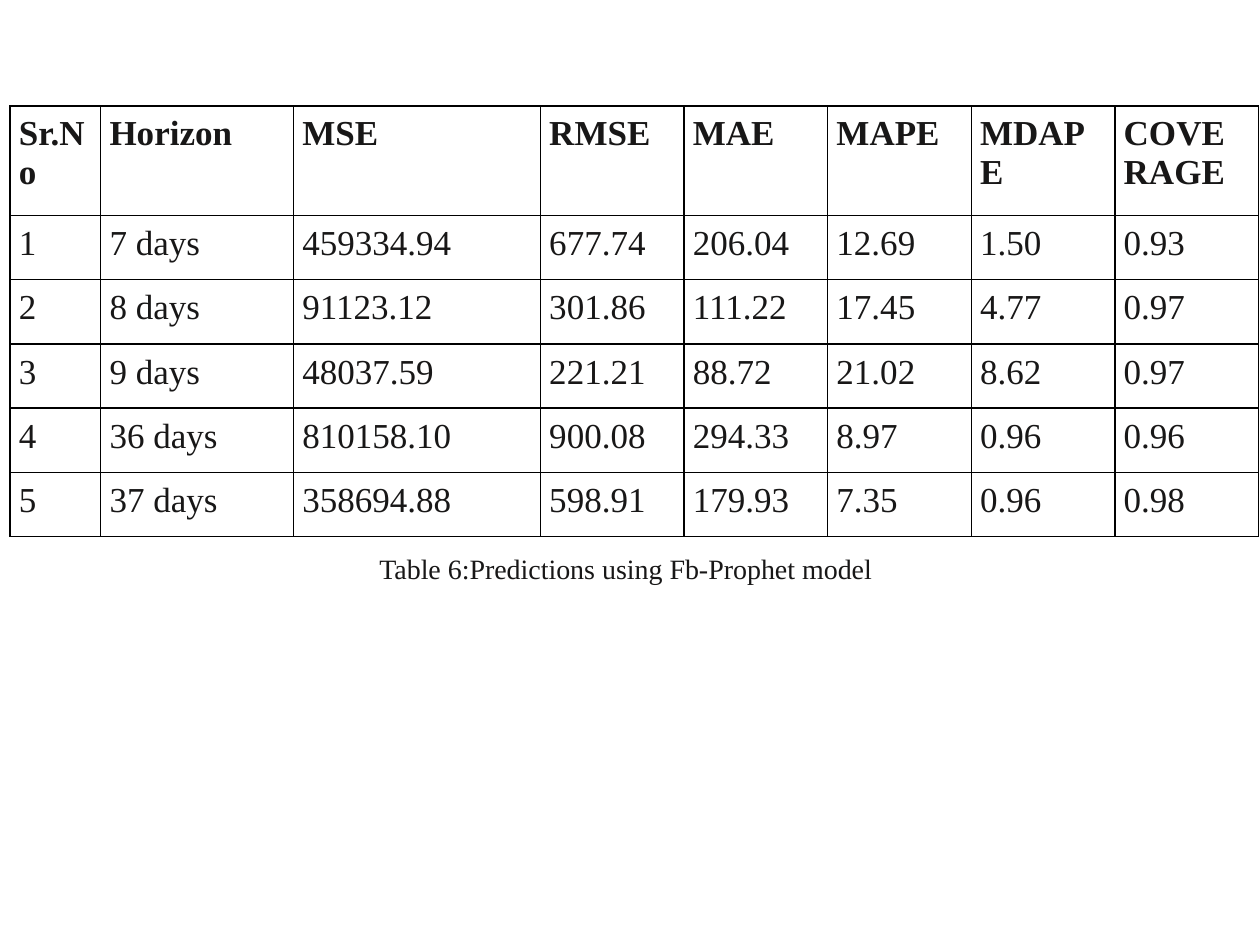
"""Build a slide with a table of forecast errors by horizon and its caption."""
from dataclasses import dataclass
from typing import NamedTuple

from lxml.etree import SubElement
from pptx import Presentation
from pptx.dml.color import RGBColor
from pptx.enum.text import PP_ALIGN
from pptx.oxml.ns import qn
from pptx.util import Inches, Pt


@dataclass(frozen=True)
class Theme:
    """Colours, font and type sizes of the slide."""
    ink: str = "181717"
    rule: str = "000000"
    font: str = "Times New Roman"
    table_size: int = 20
    caption_size: int = 16
    rule_width: int = 1


class Forecast(NamedTuple):
    """Errors of the model at one horizon."""
    horizon: str
    mse: str
    rmse: str
    mae: str
    mape: str
    mdape: str
    coverage: str


THEME = Theme()
SLIDE_WIDTH, SLIDE_HEIGHT = 10, 7.5
TABLE_LEFT, TABLE_TOP = 0.08, 0.84
HEADER_HEIGHT, ROW_HEIGHT = 0.87, 0.51
CELL_MARGIN = 0.07
COLUMN_WIDTHS = [0.72, 1.53, 1.96] + [1.14] * 5
HEADINGS = ["Sr.No", "Horizon", "MSE", "RMSE", "MAE", "MAPE", "MDAPE", "COVERAGE"]
FORECASTS = [
    Forecast("7 days", "459334.94", "677.74", "206.04", "12.69", "1.50", "0.93"),
    Forecast("8 days", "91123.12", "301.86", "111.22", "17.45", "4.77", "0.97"),
    Forecast("9 days", "48037.59", "221.21", "88.72", "21.02", "8.62", "0.97"),
    Forecast("36 days", "810158.10", "900.08", "294.33", "8.97", "0.96", "0.96"),
    Forecast("37 days", "358694.88", "598.91", "179.93", "7.35", "0.96", "0.98"),
]
CAPTION = "Table 6:Predictions using Fb-Prophet model"


def style_paragraph(paragraph, size: int, bold: bool = False) -> None:
    """Apply the theme font to a paragraph."""
    font = paragraph.font
    font.name, font.size, font.bold = THEME.font, Pt(size), bold
    font.color.rgb = RGBColor.from_string(THEME.ink)


def draw_borders(cell) -> None:
    """Rule all four sides of a cell."""
    properties = cell._tc.get_or_add_tcPr()
    for side in ("a:lnL", "a:lnR", "a:lnT", "a:lnB"):
        border = SubElement(properties, qn(side), w=str(Pt(THEME.rule_width)))
        fill = SubElement(border, qn("a:solidFill"))
        SubElement(fill, qn("a:srgbClr"), val=THEME.rule)


def fill_cell(cell, content: str, bold: bool) -> None:
    """Write and format one table cell."""
    cell.text = content
    cell.margin_left = cell.margin_right = Inches(CELL_MARGIN)
    cell.margin_top = cell.margin_bottom = Inches(CELL_MARGIN)
    style_paragraph(cell.text_frame.paragraphs[0], THEME.table_size, bold)
    draw_borders(cell)
    cell.fill.background()


def add_forecast_table(slide) -> None:
    """Add the headings and the numbered forecasts."""
    rows = [HEADINGS] + [[str(n), *forecast] for n, forecast in enumerate(FORECASTS, 1)]
    heights = [HEADER_HEIGHT] + [ROW_HEIGHT] * len(FORECASTS)
    table = slide.shapes.add_table(
        len(rows), len(HEADINGS), Inches(TABLE_LEFT), Inches(TABLE_TOP),
        Inches(sum(COLUMN_WIDTHS)), Inches(sum(heights)),
    ).table
    table.first_row = table.horz_banding = False
    for column, width in zip(table.columns, COLUMN_WIDTHS):
        column.width = Inches(width)
    for index, (row, height, contents) in enumerate(zip(table.rows, heights, rows)):
        row.height = Inches(height)
        for cell, content in zip(row.cells, contents):
            fill_cell(cell, content, bold=index == 0)


def add_caption(slide) -> None:
    """Add the caption under the table."""
    frame = slide.shapes.add_textbox(
        Inches(1.47), Inches(4.26), Inches(6.42), Inches(0.47)
    ).text_frame
    frame.word_wrap = True
    frame.margin_left = Inches(1.54)
    frame.margin_right = frame.margin_top = frame.margin_bottom = Inches(0.1)
    caption = frame.paragraphs[0]
    caption.text = CAPTION
    caption.alignment = PP_ALIGN.JUSTIFY
    caption.line_spacing = 1.06
    style_paragraph(caption, THEME.caption_size)


def main() -> None:
    """Build and save the presentation."""
    presentation = Presentation()
    presentation.slide_width = Inches(SLIDE_WIDTH)
    presentation.slide_height = Inches(SLIDE_HEIGHT)
    slide = presentation.slides.add_slide(presentation.slide_layouts[6])
    add_forecast_table(slide)
    add_caption(slide)
    presentation.save("out.pptx")


if __name__ == "__main__":
    main()
